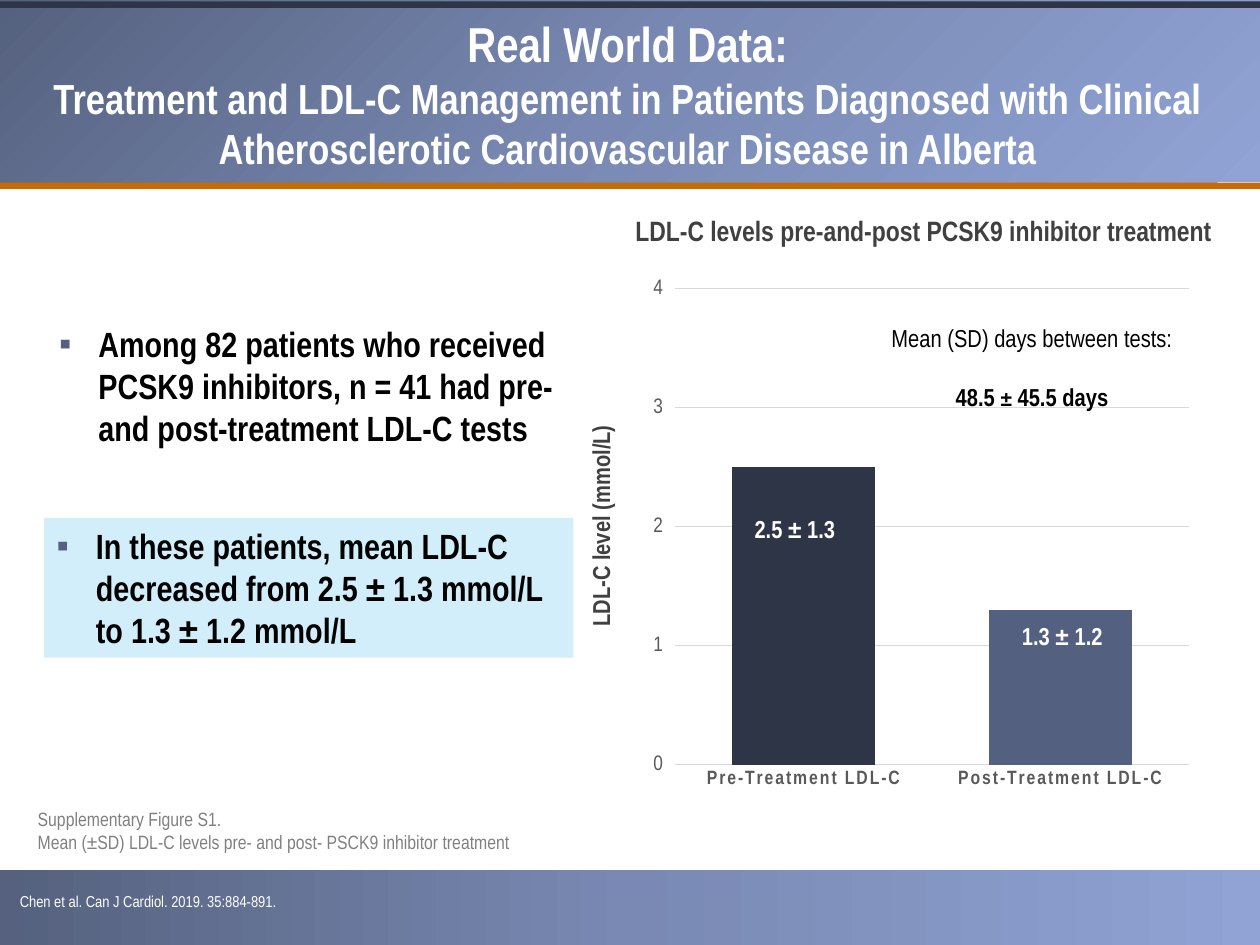
from dataclasses import dataclass

from lxml import etree
from pptx import Presentation
from pptx.chart.data import CategoryChartData
from pptx.dml.color import RGBColor
from pptx.enum.chart import XL_CHART_TYPE, XL_TICK_MARK
from pptx.enum.shapes import MSO_SHAPE
from pptx.enum.text import MSO_ANCHOR, MSO_AUTO_SIZE, PP_ALIGN
from pptx.oxml import parse_xml
from pptx.oxml.ns import nsdecls, qn
from pptx.util import Cm, Pt

RECT = MSO_SHAPE.RECTANGLE
COLUMN = XL_CHART_TYPE.COLUMN_CLUSTERED
NO_TICK, OUT_TICK = XL_TICK_MARK.NONE, XL_TICK_MARK.OUTSIDE
TOP, MIDDLE = MSO_ANCHOR.TOP, MSO_ANCHOR.MIDDLE
LEFT, CENTER = PP_ALIGN.LEFT, PP_ALIGN.CENTER
NO_FIT = MSO_AUTO_SIZE.NONE


@dataclass(frozen=True)
class Theme:
    face: str = "Arial Narrow"
    white: str = "FFFFFF"
    black: str = "000000"
    navy: str = "2E3546"
    slate: str = "54607F"
    orange: str = "C76C02"
    pale: str = "D2EEFA"
    dark: str = "404040"
    label: str = "595959"
    note: str = "808080"
    grid: str = "D9D9D9"
    fade: tuple = ((0, "55617E"), (50, "7989B3"), (100, "90A3D4"))
    head: int = 28
    title: int = 24
    body: int = 20
    sub: int = 16
    mark: int = 14
    axis: int = 12
    small: int = 11
    cite: int = 9


def color(code):
    return RGBColor.from_string(code)


def place(shape, box):
    shape.left, shape.top, shape.width, shape.height = map(Cm, box)


class Deck:
    """Holds the theme and the current slide."""

    def __init__(self, theme):
        self.theme = theme
        self.show = Presentation()
        self.show.slide_width, self.show.slide_height = Cm(25.4), Cm(19.05)
        self.slide = self.show.slides.add_slide(self.show.slide_layouts[3])
        self.shapes = self.slide.shapes

    def style(self, font, size, ink, bold=False):
        font.name, font.size, font.bold = self.theme.face, Pt(size), bold
        font.color.rgb = color(ink)

    def fill_text(self, frame, text, size, ink, bold=False, align=CENTER, anchor=TOP):
        frame.text = text
        frame.word_wrap, frame.auto_size = True, NO_FIT
        frame.vertical_anchor = anchor
        for para in frame.paragraphs:
            para.alignment = align
            para.space_before = Pt(0)
            for run in para.runs:
                self.style(run.font, size, ink, bold)
        return frame

    def band(self, box, fill):
        shape = self.shapes.add_shape(RECT, *map(Cm, box))
        shape.shadow.inherit = False
        shape.line.fill.background()
        shape.fill.solid()
        shape.fill.fore_color.rgb = color(fill)
        return shape

    def fade(self, box, shade):
        """Add a band with the theme's gradient; shade is its direction in XML."""
        shape = self.band(box, self.theme.white)
        shape.fill.gradient()
        grad = shape._element.spPr.find(qn("a:gradFill"))
        stops = "".join(
            f'<a:gs pos="{pos * 1000}"><a:srgbClr val="{code}"/></a:gs>'
            for pos, code in self.theme.fade)
        fresh = parse_xml(f'<a:gradFill {nsdecls("a")} rotWithShape="1">'
                          f"<a:gsLst>{stops}</a:gsLst>{shade}</a:gradFill>")
        grad.getparent().replace(grad, fresh)

    def holder(self, index, box):
        """Move a placeholder into its box and in front of what is drawn so far."""
        shape = self.slide.placeholders[index]
        self.shapes._spTree.append(shape._element)
        place(shape, box)
        return shape

    def title(self, box, text):
        frame = self.holder(0, box).text_frame
        self.fill_text(frame, text, self.theme.title, self.theme.white, True,
                       anchor=MIDDLE)
        frame.paragraphs[0].runs[0].font.size = Pt(self.theme.head)

    def bullet(self, index, box, text, fill=None):
        shape = self.holder(index, box)
        if fill:
            shape.fill.solid()
            shape.fill.fore_color.rgb = color(fill)
        frame = self.fill_text(shape.text_frame, text, self.theme.body,
                               self.theme.black, True, LEFT)
        props = frame.paragraphs[0]._p.get_or_add_pPr()
        props.set("marL", str(Cm(0.79)))
        props.set("indent", str(-Cm(0.79)))
        tint = etree.SubElement(props, qn("a:buClr"))
        etree.SubElement(tint, qn("a:srgbClr"), val=self.theme.slate)
        etree.SubElement(props, qn("a:buFont"), typeface="Arial")
        etree.SubElement(props, qn("a:buChar"), char="▪")

    def text(self, box, *args, **kwargs):
        frame = self.shapes.add_textbox(*map(Cm, box)).text_frame
        return self.fill_text(frame, *args, **kwargs)

    def chart(self, box, names, values, fills):
        theme = self.theme
        data = CategoryChartData()
        data.categories = names
        data.add_series("Series 1", values)
        chart = self.shapes.add_chart(COLUMN, *map(Cm, box), data).chart
        chart.has_title = chart.has_legend = False
        self.style(chart.font, theme.axis, theme.label)

        plot = chart.plots[0]
        plot.gap_width, plot.vary_by_categories = 79, False
        for index, fill in enumerate(fills):
            look = plot.series[0].points[index].format.fill
            look.solid()
            look.fore_color.rgb = color(fill)

        cat, val = chart.category_axis, chart.value_axis
        self.style(cat.tick_labels.font, theme.small, theme.label, True)
        cat._element.find(".//" + qn("a:defRPr")).set("spc", "100")
        cat.major_tick_mark = cat.minor_tick_mark = NO_TICK
        self.style(val.tick_labels.font, theme.axis, theme.label)
        val.tick_labels.number_format = "#,##0"
        val.tick_labels.number_format_is_linked = False
        val.minimum_scale, val.maximum_scale, val.major_unit = 0, 4, 1
        val.major_tick_mark, val.minor_tick_mark = OUT_TICK, NO_TICK
        val.format.line.fill.background()
        for line in (cat.format.line, val.major_gridlines.format.line):
            line.color.rgb, line.width = color(theme.grid), Pt(0.75)

        area = chart._chartSpace.find(".//" + qn("c:plotArea"))
        for old in area.findall(qn("c:layout")):
            area.remove(old)
        layout = etree.Element(qn("c:layout"))
        manual = etree.SubElement(layout, qn("c:manualLayout"))
        for tag, value in (("layoutTarget", "inner"), ("xMode", "edge"),
                           ("yMode", "edge"), ("x", "0.1"), ("y", "0.02"),
                           ("w", "0.77"), ("h", "0.84")):
            etree.SubElement(manual, qn("c:" + tag), val=value)
        area.insert(0, layout)


def main():
    theme = Theme()
    deck = Deck(theme)
    deck.fade((0, 0, 25.4, 3.68), '<a:path path="circle">'
              '<a:fillToRect r="100000" b="100000"/></a:path>')
    deck.band((0, 3.68, 25.4, 0.13), theme.orange)
    deck.band((0, 0.03, 25.4, 0.13), theme.navy)
    deck.fade((0, 17.53, 25.4, 1.52), '<a:lin ang="0" scaled="0"/>')
    deck.title((-0.05, 0.13, 25.4, 3.51),
               "Real World Data:\nTreatment and LDL-C Management in Patients Diagnosed "
               "with Clinical Atherosclerotic Cardiovascular Disease in Alberta")

    deck.chart((12.27, 5.59, 13.44, 11.43),
               ("Pre-Treatment LDL-C", "Post-Treatment LDL-C"), (2.5, 1.3),
               (theme.navy, theme.slate))
    deck.text((12.27, 4.19, 12.7, 0.94),
              "LDL-C levels pre-and-post PCSK9 inhibitor treatment",
              theme.sub, theme.dark, True)

    deck.bullet(1, (0.94, 6.38, 10.67, 3.68),
                "Among 82 patients who received PCSK9 inhibitors, "
                "n = 41 had pre- and post-treatment LDL-C tests")
    deck.bullet(2, (0.89, 10.44, 10.67, 2.82),
                "In these patients, mean LDL-C decreased from "
                "2.5 ± 1.3 mmol/L to 1.3 ± 1.2 mmol/L", theme.pale)

    days = deck.text((17.68, 6.38, 6.25, 1.45),
                     "Mean (SD) days between tests:\n48.5 ", theme.mark, theme.black)
    span = days.paragraphs[1]
    span.space_before = Pt(17)
    span.runs[0].font.bold = True
    for part, size in (("±", theme.axis), (" 45.5 days", theme.mark)):
        run = span.add_run()
        run.text = part
        deck.style(run.font, size, theme.black, True)

    for left, top, mean in ((12.9, 10.24, "2.5 ± 1.3"), (18.29, 12.4, "1.3 ± 1.2")):
        deck.text((left, top, 6.25, 0.86), mean, theme.mark, theme.white, True)
    side = deck.text((11.68, 5.64, 1.12, 9.93), "LDL-C level (mmol/L)",
                     theme.mark, theme.dark, True)
    side._txBody.bodyPr.set("vert", "vert270")

    deck.text((0.51, 16.15, 13.72, 1.19),
              "Supplementary Figure S1.\v"
              "Mean (±SD) LDL-C levels pre- and post- PSCK9 inhibitor treatment",
              theme.small, theme.note, align=LEFT)
    deck.text((0.15, 17.86, 24.23, 0.64),
              "Chen et al. Can J Cardiol. 2019. 35:884-891.",
              theme.cite, theme.white, align=LEFT)
    deck.show.save("out.pptx")


if __name__ == "__main__":
    main()
